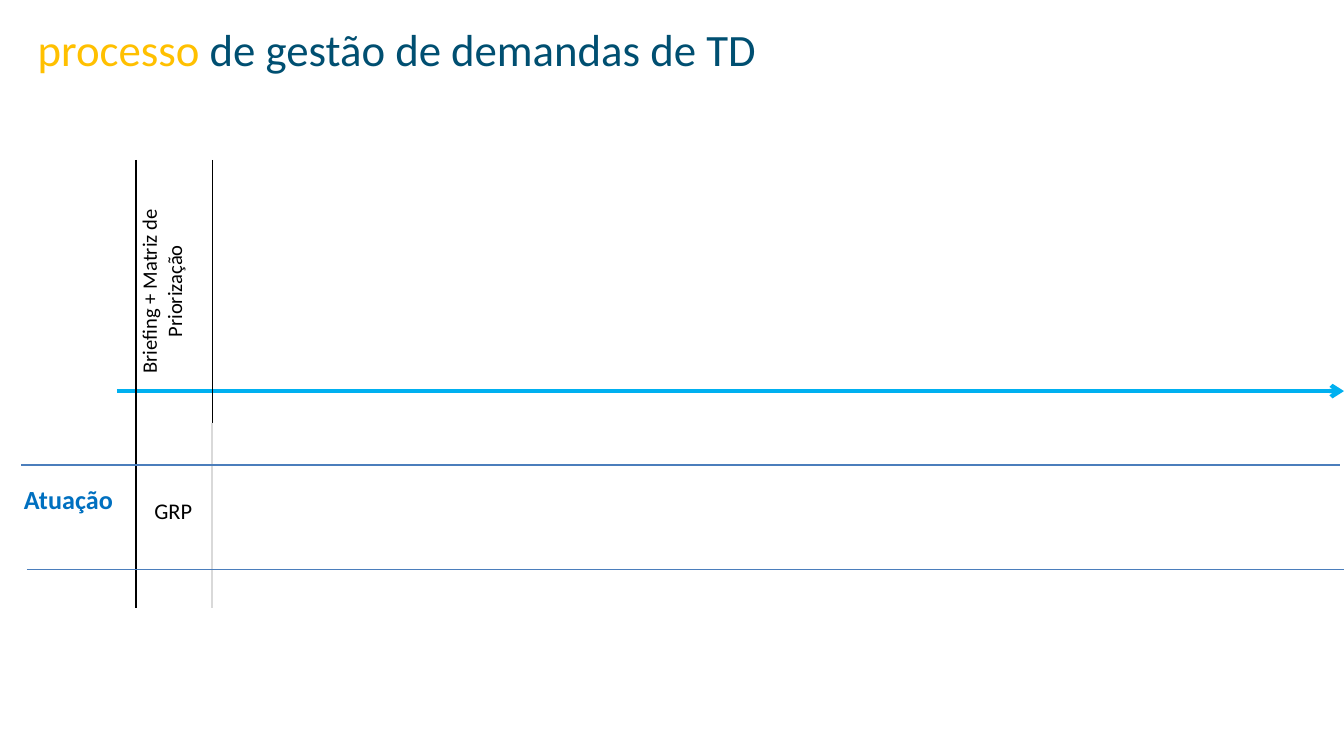
from dataclasses import dataclass

from lxml.etree import SubElement
from pptx import Presentation
from pptx.dml.color import RGBColor
from pptx.enum.shapes import MSO_CONNECTOR
from pptx.enum.text import MSO_ANCHOR, MSO_AUTO_SIZE, PP_ALIGN
from pptx.oxml import parse_xml
from pptx.oxml.ns import nsdecls, qn
from pptx.util import Inches, Pt

FONT = "Calibri"
NO_GRID_STYLE = "{2D5ABB26-0587-4C30-8999-92F81FD0307C}"


@dataclass
class Span:
    text: str
    size: float
    color: str
    bold: bool = False


@dataclass
class Rule:
    left: float
    right: float
    top: float
    color: str
    width: float
    arrow: bool = False


@dataclass
class Label:
    left: float
    top: float
    width: float
    height: float
    span: Span


@dataclass
class Border:
    side: str
    color: str
    width: float


TIMELINE = Rule(0.87, 10, 2.91, "00B0F0", 2.25, arrow=True)
ROW_RULES = [
    Rule(0.16, 9.97, 3.46, "4B7EBC", 0.75),
    Rule(0.2, 10, 4.24, "4B7EBC", 0.75),
]
LABELS = [
    Label(0.08, 3.55, 0.88, 0.34, Span("Atuação", 14, "0070C0", bold=True)),
    Label(1.05, 3.65, 0.51, 0.3, Span("GRP", 12, "000000")),
]
TITLE_SPANS = [
    Span("processo ", 24, "FFC000"),
    Span("de gestão de demandas de TD", 24, "004F71"),
]
STAGE = Span("Briefing + Matriz de Priorização", 11, "000000")
ROW_HEIGHTS = [1.72, 1.38]
ROW_BORDERS = [
    [Border("lnL", "000000", 1), Border("lnR", "000000", 0.5)],
    [Border("lnL", "000000", 1), Border("lnR", "D9D9D9", 1)],
]


def rgb(value: str) -> RGBColor:
    return RGBColor.from_string(value)


def add_span(para, span: Span) -> None:
    run = para.add_run()
    run.text = span.text
    run.font.name = FONT
    run.font.size = Pt(span.size)
    run.font.bold = span.bold
    run.font.color.rgb = rgb(span.color)


def add_title(page) -> None:
    title = page.shapes.title
    title.left, title.top = Inches(0.18), Inches(0.11)
    title.width, title.height = Inches(8.81), Inches(0.5)
    frame = title.text_frame
    frame.word_wrap = True
    frame.auto_size = MSO_AUTO_SIZE.SHAPE_TO_FIT_TEXT
    frame.vertical_anchor = MSO_ANCHOR.TOP
    para = frame.paragraphs[0]
    para.alignment = PP_ALIGN.LEFT
    for span in TITLE_SPANS:
        add_span(para, span)


def add_rule(page, rule: Rule) -> None:
    connector = page.shapes.add_connector(
        MSO_CONNECTOR.STRAIGHT,
        Inches(rule.left), Inches(rule.top), Inches(rule.right), Inches(rule.top),
    )
    connector.line.color.rgb = rgb(rule.color)
    connector.line.width = Pt(rule.width)
    if rule.arrow:
        SubElement(connector.line._get_or_add_ln(), qn("a:tailEnd"), type="arrow")
    SubElement(connector._element.spPr, qn("a:effectLst"))


def add_label(page, label: Label) -> None:
    box = page.shapes.add_textbox(
        Inches(label.left), Inches(label.top), Inches(label.width), Inches(label.height)
    )
    box.text_frame.word_wrap = False
    box.text_frame.auto_size = MSO_AUTO_SIZE.SHAPE_TO_FIT_TEXT
    add_span(box.text_frame.paragraphs[0], label.span)


def set_borders(cell, borders: list[Border]) -> None:
    properties = cell._tc.get_or_add_tcPr()
    for position, border in enumerate(borders):
        properties.insert(position, parse_xml(
            f'<a:{border.side} {nsdecls("a")} w="{Pt(border.width)}"><a:solidFill>'
            f'<a:srgbClr val="{border.color}"/></a:solidFill></a:{border.side}>'
        ))


def add_stage_column(page) -> None:
    frame = page.shapes.add_table(
        len(ROW_HEIGHTS), 1,
        Inches(1.01), Inches(1.19), Inches(0.57), Inches(sum(ROW_HEIGHTS)),
    )
    table = frame.table
    table.first_row = False
    table.horz_banding = False
    table._tbl.tblPr.find(qn("a:tableStyleId")).text = NO_GRID_STYLE
    for index, (height, borders) in enumerate(zip(ROW_HEIGHTS, ROW_BORDERS)):
        table.rows[index].height = Inches(height)
        cell = table.cell(index, 0)
        cell.fill.background()
        set_borders(cell, borders)
    cell = table.cell(0, 0)
    cell.margin_left = cell.margin_right = cell.margin_top = Inches(0.01)
    cell.margin_bottom = Inches(0)
    cell.vertical_anchor = MSO_ANCHOR.MIDDLE
    cell._tc.tcPr.set("vert", "vert270")
    para = cell.text_frame.paragraphs[0]
    para.alignment = PP_ALIGN.CENTER
    add_span(para, STAGE)


def main() -> None:
    deck = Presentation()
    deck.slide_width = Inches(10)
    deck.slide_height = deck.slide_width * 9 // 16
    page = deck.slides.add_slide(deck.slide_layouts[5])
    add_rule(page, TIMELINE)
    add_stage_column(page)
    add_title(page)
    for rule in ROW_RULES:
        add_rule(page, rule)
    for label in LABELS:
        add_label(page, label)
    deck.save("out.pptx")


if __name__ == "__main__":
    main()
